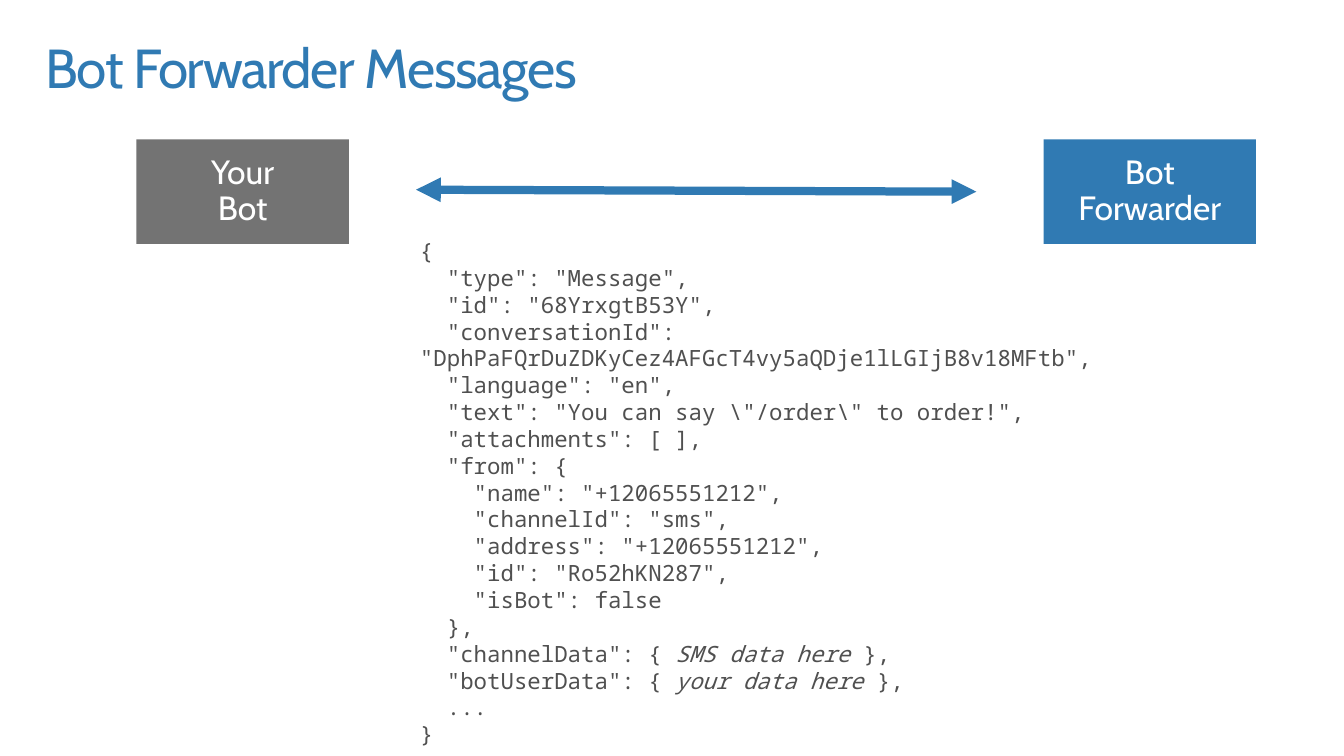
from pptx import Presentation
from pptx.dml.color import RGBColor
from pptx.enum.shapes import MSO_CONNECTOR, MSO_SHAPE
from pptx.enum.text import MSO_ANCHOR as ANCHOR, MSO_AUTO_SIZE as AUTO_SIZE, PP_ALIGN as ALIGN
from pptx.oxml.ns import qn
from pptx.util import Inches, Pt
from lxml import etree

BLUE = RGBColor(0x30, 0x7A, 0xB3)
GRAY = RGBColor(0x73, 0x73, 0x73)
DARK = RGBColor(0x50, 0x50, 0x50)
WHITE = RGBColor(0xFF, 0xFF, 0xFF)
HEADING_FONT = "Cabin"
CODE_FONT = "Noto Sans Mono"

MESSAGE = r'''{
  "type": "Message",
  "id": "68YrxgtB53Y",
  "conversationId": "DphPaFQrDuZDKyCez4AFGcT4vy5aQDje1lLGIjB8v18MFtb",
  "language": "en",
  "text": "You can say \"/order\" to order!",
  "attachments": [ ],
  "from": {
    "name": "+12065551212",
    "channelId": "sms",
    "address": "+12065551212",
    "id": "Ro52hKN287",
    "isBot": false
  },
  "channelData": { *SMS data here* },
  "botUserData": { *your data here* },
  ...
}'''


def set_font(paragraph, name, size, color):
    paragraph.font.name = name
    paragraph.font.size = Pt(size)
    paragraph.font.color.rgb = color


def set_frame(frame, inset_x, inset_y, anchor):
    frame.word_wrap = True
    frame.margin_left = frame.margin_right = Inches(inset_x)
    frame.margin_top = frame.margin_bottom = Inches(inset_y)
    frame.vertical_anchor = anchor


def add_title(slide, text, left, top, width, height):
    title = slide.shapes.add_textbox(Inches(left), Inches(top), Inches(width), Inches(height))
    set_frame(title.text_frame, 0.16, 0.1, ANCHOR.TOP)
    heading = title.text_frame.paragraphs[0]
    heading.line_spacing = 0.9
    set_font(heading, HEADING_FONT, 40, BLUE)
    run = heading.add_run()
    run.text = text
    run._r.get_or_add_rPr().set("spc", "-100")


def add_party(slide, name, fill, left, top, width, height):
    party = slide.shapes.add_shape(
        MSO_SHAPE.RECTANGLE, Inches(left), Inches(top), Inches(width), Inches(height))
    party.shadow.inherit = False
    party.fill.solid()
    party.fill.fore_color.rgb = fill
    party.line.fill.background()
    set_frame(party.text_frame, 0.2, 0.16, ANCHOR.MIDDLE)
    party.text_frame.text = name
    for line in party.text_frame.paragraphs:
        line.alignment = ALIGN.CENTER
        line.line_spacing = 0.9
        set_font(line, HEADING_FONT, 24.5, WHITE)


def add_exchange_arrow(slide, left, top, width, height):
    arrow = slide.shapes.add_connector(
        MSO_CONNECTOR.STRAIGHT, Inches(left), Inches(top),
        Inches(left + width), Inches(top + height))
    arrow.line.color.rgb = BLUE
    arrow.line.width = Pt(6)
    outline = arrow.line._get_or_add_ln()
    for end in ("a:headEnd", "a:tailEnd"):
        etree.SubElement(outline, qn(end), type="triangle")
    etree.SubElement(arrow._element.spPr, qn("a:effectLst"))


def add_message(slide, message, left, top, width, height):
    listing = slide.shapes.add_textbox(Inches(left), Inches(top), Inches(width), Inches(height))
    frame = listing.text_frame
    set_frame(frame, 0.2, 0.16, ANCHOR.TOP)
    frame.auto_size = AUTO_SIZE.SHAPE_TO_FIT_TEXT
    for number, code in enumerate(message.split("\n")):
        line = frame.add_paragraph() if number else frame.paragraphs[0]
        set_font(line, CODE_FONT, 16.3, DARK)
        for position, part in enumerate(code.split("*")):
            run = line.add_run()
            run.text = part
            if position % 2:
                run.font.italic = True


def build_messages_slide(deck):
    slide = deck.slides.add_slide(deck.slide_layouts[6])
    add_title(slide, "Bot Forwarder Messages", 0.3, 0.32, 13, 1)
    add_exchange_arrow(slide, 4.21, 1.92, 5.67, 0.02)
    add_message(slide, MESSAGE, 4.05, 2.24, 9.59, 5.27)
    for name, fill, left in (("Bot Forwarder", BLUE, 10.56), ("Your\nBot", GRAY, 1.38)):
        add_party(slide, name, fill, left, 1.41, 2.15, 1.06)


def main():
    deck = Presentation()
    deck.slide_width = Inches(13.6)
    deck.slide_height = Inches(7.65)
    build_messages_slide(deck)
    deck.save("out.pptx")


if __name__ == "__main__":
    main()
